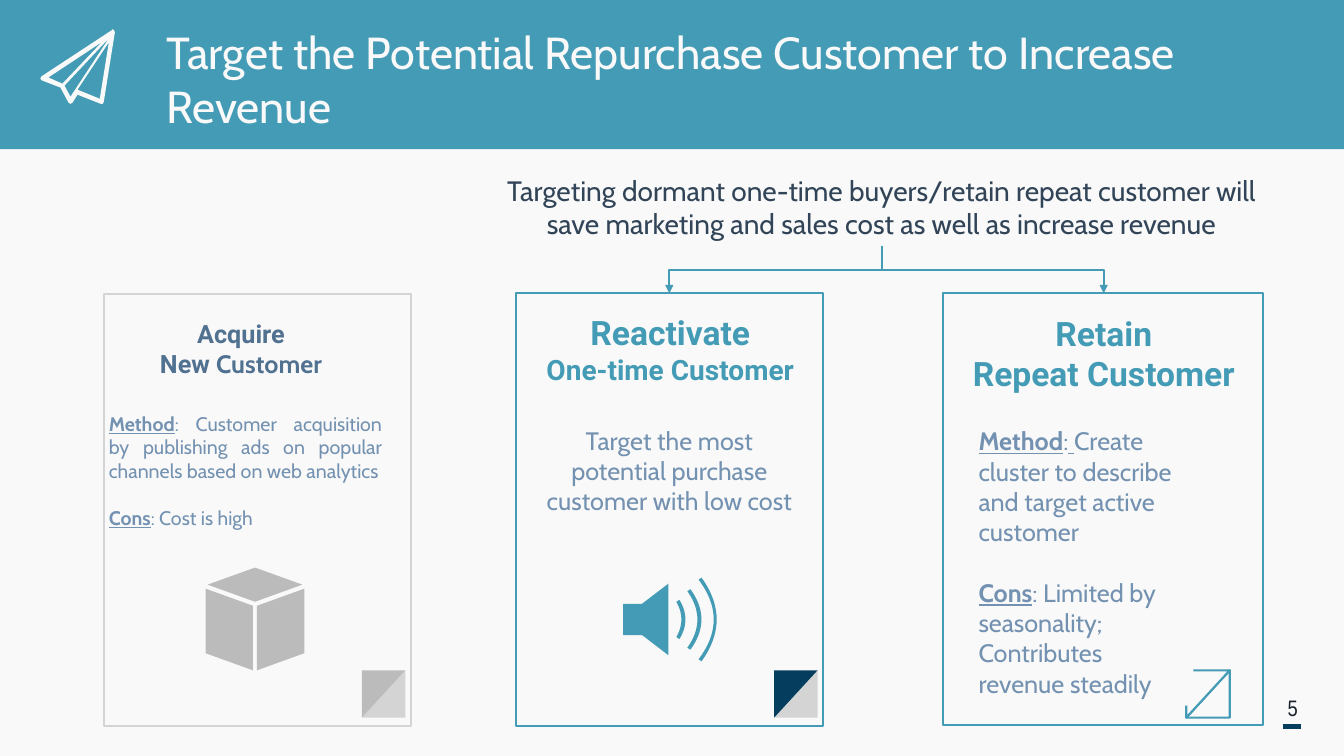
"""Build a slide comparing three customer targeting strategies."""
from lxml import etree
from pptx import Presentation
from pptx.dml.color import RGBColor
from pptx.enum import shapes, text
from pptx.oxml.ns import qn
from pptx.util import Pt

COLORS = {
    "teal": "449BB5", "paper": "F9F9F9", "navy": "043D5D", "silver": "D4D4D4",
    "grey": "BBBBBB", "slate": "517190", "mist": "7391B0", "ink": "324558", "black": "1A242E",
}
LEFT, CENTER, JUSTIFY = text.PP_ALIGN.LEFT, text.PP_ALIGN.CENTER, text.PP_ALIGN.JUSTIFY
HEADING = {"bold": True, "underline": True}

PLANE = [
    [(81.4, 21.6), (80.6, 20.9), (79.9, 21.6), (29.5, 54.7), (28.8, 56.2), (30.2, 57.6),
     (43.2, 62.6), (49, 73.4), (50.4, 74.2), (51.8, 73.4), (55.4, 67.7), (72, 74.2),
     (73.4, 74.2), (74.2, 72.7), (82.1, 23)],
    [(71.3, 70.6), (55.4, 64.1), (77.8, 30.2)],
    [(46.1, 61.2), (77.8, 27.4), (50.4, 69.1)],
    [(34.6, 55.4), (72.7, 30.2), (44.6, 59.8)],
]
CUBE_FACES = [
    [(146.9, 420.5), (180.7, 432.7), (180.7, 478.8), (146.9, 466.6)],
    [(148.3, 417.6), (182.2, 405.4), (216, 417.6), (182.2, 429.8)],
    [(183.6, 432.7), (217.4, 420.5), (217.4, 466.6), (183.6, 478.8)],
]
SPEAKER = [(445, 431.3), (458.6, 431.3), (477.4, 416.9), (477.4, 468), (458.6, 453.6), (445, 453.6)]
SPEAKER_MID = 442.5
# fmt: off
WAVES = [
    ((486.7, 3.6, 12.6), (489.6, 4.3, 14)),
    ((498.2, 7.2, 20.2), (501.1, 7.9, 21.6)),
    ((509.8, 10.8, 28.4), (511.9, 10.8, 29.9)),
]

CARDS = [
    {"box": (74.2, 210.2, 219.6, 308.2), "border": "silver", "corner_x": 258.5,
     "corner": ("silver", "grey"), "corner_line": None},
    {"box": (368.6, 209.5, 219.6, 308.9), "border": "teal", "corner_x": 553,
     "corner": ("silver", "navy"), "corner_line": None},
    {"box": (673.9, 209.5, 228.2, 308.2), "border": "teal", "corner_x": 847.4,
     "corner": ("paper", "paper"), "corner_line": "teal"},
]
CORNER_Y, CORNER_W, CORNER_H = 478.8, 31, 33.8

TEXTS = [
    {"box": (111.6, 14.4, 819.4, 85), "font": "Cabin", "color": "paper", "paras": [
        (LEFT, 32, 0, [("Target the Potential Repurchase Customer to Increase Revenue", {})])]},
    {"box": (107.3, 223.9, 144.7, 51.1), "font": "Roboto", "color": "slate", "bold": True,
     "margins": (0, 3.6, 15), "paras": [
        (CENTER, 18, 0, [("Acquire", {})]),
        (CENTER, 18, 0, [("New ", {}), ("Customer", {"name": "Cabin"})])]},
    {"box": (70.6, 273.6, 209.5, 126), "font": "Cabin", "color": "mist",
     "margins": (7.2, 20.4, 7.2), "paras": [
        (JUSTIFY, 14, 0, [("Method", HEADING), (": Customer acquisition by publishing ads on "
                                                "popular channels based on web analytics", {})]),
        (LEFT, 14, 17, [("Cons", HEADING), (": Cost is high", {})])]},
    {"box": (378.7, 300.2, 198.7, 72.7), "font": "Cabin", "color": "mist", "paras": [
        (CENTER, 18, 0, [("Target the most potential purchase customer with low cost", {})])]},
    {"box": (373.7, 219.6, 210.2, 60.5), "font": "Roboto", "color": "teal", "bold": True, "paras": [
        (CENTER, 24, 0, [("Reactivate", {})]),
        (CENTER, 20, 0, [("One-time Customer", {})])]},
    {"box": (344.2, 120.2, 571, 55.4), "font": "Cabin", "color": "ink", "paras": [
        (CENTER, 20, 0, [("Targeting dormant one-time buyers/retain repeat customer will save "
                          "marketing and sales cost as well as increase revenue", {})])]},
    {"box": (691.9, 283.7, 160.6, 220.3), "font": "Cabin", "color": "mist", "fill": "paper",
     "margins": (7.2, 20.4, 7.2), "paras": [
        (LEFT, 18, 0, [("Method", HEADING), (":", {}), (" ", {"underline": True}),
                       ("Create cluster to describe and target active customer", {})]),
        (LEFT, 18, 21.8, [("Cons", HEADING),
                          (": Limited by seasonality; Contributes revenue steadily", {})])]},
    {"box": (677.5, 219.6, 221.8, 65.5), "font": "Roboto", "color": "teal", "bold": True,
     "fill": "paper", "paras": [
        (CENTER, 24, 0, [("Retain", {})]),
        (CENTER, 24, 0, [("Repeat Customer", {})])]},
    {"box": (901.4, 488.2, 43.9, 33.8), "font": "Arial Narrow", "color": "black",
     "anchor": text.MSO_ANCHOR.MIDDLE, "paras": [(CENTER, 16, 0, [("5", {})])]},
]
BRANCH_START = (630, 175.7)
BRANCH_ENDS = [(788.4, 209.5), (478.1, 209.5)]


def rgb(name):
    """Return the named colour."""
    return RGBColor.from_string(COLORS[name])


def paint(sp, fill, line=None):
    """Set the fill and outline of a shape."""
    sp.shadow.inherit = False
    sp.fill.solid()
    sp.fill.fore_color.rgb = rgb(fill)
    if line:
        sp.line.color.rgb = rgb(line)
        sp.line.width = Pt(1.5)
    else:
        sp.line.fill.background()


def add_preset(slide, kind, box, fill, line=None):
    """Add a painted preset shape."""
    sp = slide.shapes.add_shape(kind, *map(Pt, box))
    paint(sp, fill, line)
    return sp


def add_outline(slide, contours, fill):
    """Add one freeform made of closed contours."""
    builder = None
    for contour in contours:
        first, *rest = [(Pt(x), Pt(y)) for x, y in contour]
        if builder is None:
            builder = slide.shapes.build_freeform(*first)
        else:
            builder.move_to(*first)
        builder.add_line_segments(rest, close=True)
    paint(builder.convert_to_shape(), fill)


def curve(apex, sag, half):
    """Return points along one edge of a sound wave."""
    steps = [i / 10 for i in range(-10, 11)]
    return [(apex - sag * t * t, SPEAKER_MID + half * t) for t in steps]


def add_card(slide, card):
    """Add a card frame with its folded corner."""
    add_preset(slide, shapes.MSO_SHAPE.RECTANGLE, card["box"], "paper", card["border"])
    corner = (card["corner_x"], CORNER_Y, CORNER_W, CORNER_H)
    for fill, flip in zip(card["corner"], ("flipV", "flipH")):
        sp = add_preset(slide, shapes.MSO_SHAPE.RIGHT_TRIANGLE, corner, fill, card["corner_line"])
        sp.rotation = 180
        sp._element.spPr.find(qn("a:xfrm")).set(flip, "1")


def add_text(slide, item):
    """Add a text box with its paragraphs."""
    sp = slide.shapes.add_textbox(*map(Pt, item["box"]))
    if "fill" in item:
        paint(sp, item["fill"])
    tf = sp.text_frame
    tf.word_wrap = True
    tf.vertical_anchor = item.get("anchor", text.MSO_ANCHOR.TOP)
    tf.margin_left, tf.margin_top, tf.margin_right = map(Pt, item.get("margins", (7.2, 3.6, 7.2)))
    for i, (align, size, before, runs) in enumerate(item["paras"]):
        p = tf.add_paragraph() if i else tf.paragraphs[0]
        p.alignment, p.space_before = align, Pt(before)
        p.font.name, p.font.size = item["font"], Pt(size)
        p.font.bold = item.get("bold", False)
        p.font.color.rgb = rgb(item["color"])
        for words, style in runs:
            r = p.add_run()
            r.text = words
            for key, value in style.items():
                setattr(r.font, key, value)


def add_line(slide, kind, start, end, color, width):
    """Add a connector without a shadow."""
    cxn = slide.shapes.add_connector(kind, *map(Pt, start + end))
    cxn.line.color.rgb = rgb(color)
    cxn.line.width = Pt(width)
    etree.SubElement(cxn._element.spPr, qn("a:effectLst"))
    return cxn


def add_branch(slide, start, end):
    """Add an elbow arrow that leaves downward and ends downward."""
    (x1, y1), (x2, y2) = start, end
    mid_x, mid_y = (x1 + x2) / 2, (y1 + y2) / 2
    half_w, half_h = (y2 - y1) / 2, abs(x2 - x1) / 2
    cxn = add_line(slide, shapes.MSO_CONNECTOR.ELBOW, (mid_x - half_w, mid_y - half_h),
                   (mid_x + half_w, mid_y + half_h), "teal", 1.5)
    xfrm = cxn._element.spPr.find(qn("a:xfrm"))
    xfrm.set("rot", str((270 if x2 > x1 else 90) * 60000))
    if x2 > x1:
        xfrm.set("flipH", "1")
    etree.SubElement(cxn.line._get_or_add_ln(), qn("a:tailEnd"), type="triangle")


def main():
    """Build and save the slide."""
    prs = Presentation()
    prs.slide_width, prs.slide_height = Pt(960), Pt(540)
    slide = prs.slides.add_slide(prs.slide_layouts[6])
    slide.background.fill.solid()
    slide.background.fill.fore_color.rgb = rgb("paper")
    add_line(slide, shapes.MSO_CONNECTOR.STRAIGHT, (916.6, 519.1), (929.5, 519.1), "navy", 3.5)
    add_preset(slide, shapes.MSO_SHAPE.RECTANGLE, (0, 0, 960, 106.6), "teal")
    add_outline(slide, PLANE, "paper")
    for card in CARDS:
        add_card(slide, card)
    for face in CUBE_FACES:
        add_outline(slide, [face], "grey")
    add_outline(slide, [SPEAKER], "teal")
    for inner, outer in WAVES:
        add_outline(slide, [curve(*inner) + curve(*outer)[::-1]], "teal")
    for item in TEXTS:
        add_text(slide, item)
    for end in BRANCH_ENDS:
        add_branch(slide, BRANCH_START, end)
    prs.save("out.pptx")


if __name__ == "__main__":
    main()
